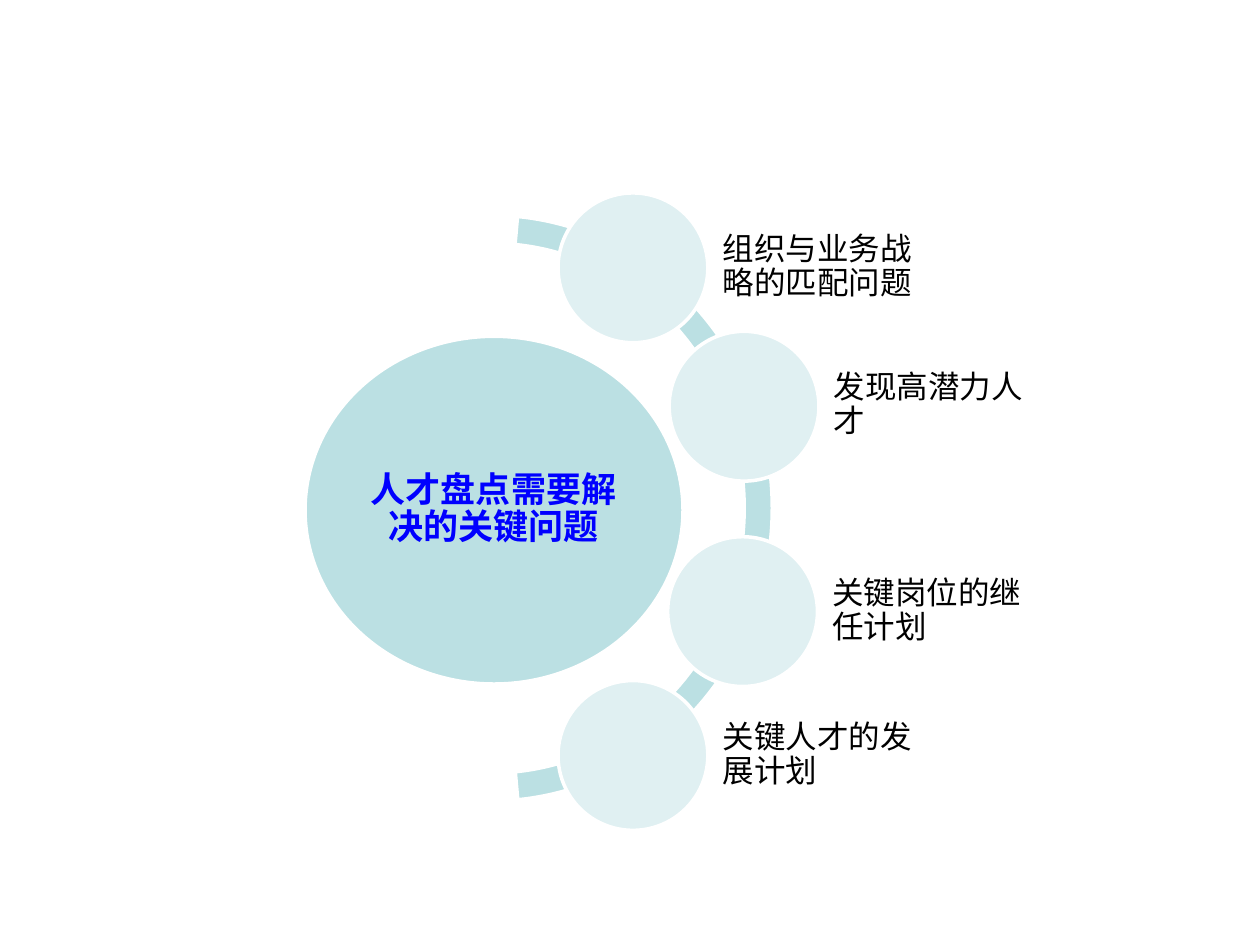
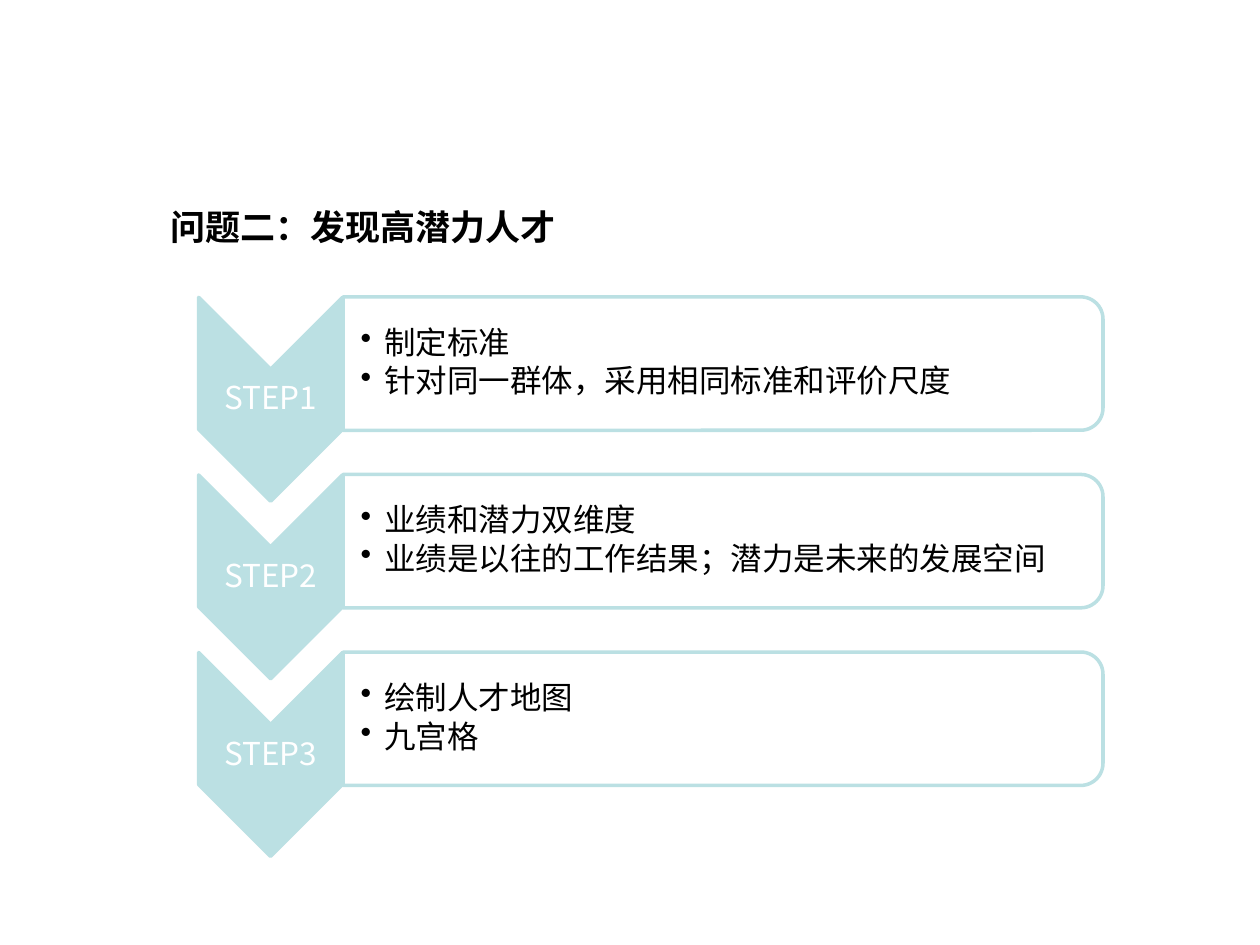
"""Build two talent review slides: the key questions and the three steps."""
from lxml import etree
from pptx import Presentation
from pptx import util as u
from pptx.dml.color import RGBColor
from pptx.enum import shapes, text
from pptx.oxml.ns import qn

COLORS = {"teal": "BBE0E3", "pale": "E0F0F2", "white": "FFFFFF",
          "blue": "0000FF", "black": "000000"}
FONT = "Noto Sans CJK SC"

CORE = "人才盘点需要解决的关键问题"
QUESTIONS = [
    ("组织与业务战略的匹配问题", 11.25, 3.89),
    ("发现高潜力人才", 13.49, 6.68),
    ("关键岗位的继任计划", 13.46, 10.82),
    ("关键人才的发展计划", 11.25, 13.72),
]
HEADING = "问题二：发现高潜力人才"
STEPS = [
    ("STEP1", ["制定标准", "针对同一群体，采用相同标准和评价尺度"]),
    ("STEP2", ["业绩和潜力双维度", "业绩是以往的工作结果；潜力是未来的发展空间"]),
    ("STEP3", ["绘制人才地图", "九宫格"]),
]
DOT = 3.02
STEP_PITCH = 3.58


def rgb(name):
    return RGBColor.from_string(COLORS[name])


def box(*cm):
    return [u.Cm(v) for v in cm]


def add_shape(s, kind, at, fill, line="white", rotation=0, alpha=None):
    sp = s.shapes.add_shape(kind, *box(*at))
    sp.shadow.inherit = False
    sp.rotation = rotation
    sp.fill.solid()
    sp.fill.fore_color.rgb = rgb(fill)
    sp.line.color.rgb = rgb(line)
    sp.line.width = u.Pt(2)
    if alpha:
        clr = sp.fill._xPr.find(qn("a:solidFill"))[0]
        etree.SubElement(clr, qn("a:alpha"), val=str(alpha * 1000))
    return sp


def write(sp, lines, size=18, color="black", bold=False, font=FONT, align="LEFT",
          anchor="MIDDLE", inset=0.08, left=None, spacing=0.9, after=0, bullet=False):
    tf = sp.text_frame
    tf.word_wrap = True
    tf.auto_size = text.MSO_AUTO_SIZE.NONE
    tf.vertical_anchor = text.MSO_ANCHOR[anchor]
    tf.margin_left = u.Cm(inset if left is None else left)
    tf.margin_right = u.Cm(inset)
    tf.margin_top = tf.margin_bottom = u.Cm(min(inset, 0.13))
    for i, line in enumerate(lines):
        p = tf.paragraphs[0] if i == 0 else tf.add_paragraph()
        p.alignment = text.PP_ALIGN[align]
        p.line_spacing = spacing
        p.space_after = u.Pt(size * after)
        if bullet:
            p.level = 1
            pPr = p._p.get_or_add_pPr()
            pPr.set("marL", str(u.Cm(0.48)))
            pPr.set("indent", str(u.Cm(-0.48)))
            etree.SubElement(pPr, qn("a:buChar"), char="•")
        r = p.add_run()
        r.text = line
        r.font.name = font
        r.font.size = u.Pt(size)
        r.font.bold = bold
        r.font.color.rgb = rgb(color)
        etree.SubElement(r._r.get_or_add_rPr(), qn("a:ea"), typeface=FONT)


def add_text(s, at, lines, **fmt):
    write(s.shapes.add_textbox(*box(*at)), lines, **fmt)


def questions_slide(prs):
    s = prs.slides.add_slide(prs.slide_layouts[6])
    kind = shapes.MSO_SHAPE
    add_shape(s, kind.OVAL, (6.15, 6.78, 7.62, 7.01), "teal")
    add_text(s, (7.26, 7.8, 5.38, 4.95), [CORE], size=20, color="blue", bold=True,
             font="Arial", align="CENTER", after=0.35)
    arc = add_shape(s, kind.BLOCK_ARC, (4.24, 4.34, 11.33, 11.81), "teal")
    for i, value in enumerate((165.09, 50.88, 0.05)):
        arc.adjustments[i] = value
    for question, x, y in QUESTIONS:
        add_shape(s, kind.OVAL, (x, y, DOT, DOT), "pale")
        add_text(s, (x + 3.24, y + 0.04, 4.04, 2.92), [question], after=0.1)


def steps_slide(prs):
    s = prs.slides.add_slide(prs.slide_layouts[5])
    kind = shapes.MSO_SHAPE
    title = s.shapes.title
    title.left, title.top, title.width, title.height = box(3.18, 4.01, 16.31, 1.96)
    write(title, [HEADING], size=20, bold=True, anchor="TOP", inset=0.25, spacing=1.0)
    for i, (step, points) in enumerate(STEPS):
        y = i * STEP_PITCH
        add_shape(s, kind.CHEVRON, (3.4, 6.6 + y, 4.11, 2.9), "teal", "teal", 90)
        add_text(s, (4.01, 7.44 + y, 2.9, 1.24), [step], color="white",
                 align="CENTER", inset=0.03, after=0.35)
        add_shape(s, kind.ROUND_2_SAME_RECTANGLE, (13.23, y - 0.33, 2.69, 15.32),
                  "white", "teal", 90, alpha=90)
        add_text(s, (6.91, 6.12 + y, 15.19, 2.41), points, inset=0.03, left=0.36,
                 after=0.15, bullet=True)


def main():
    prs = Presentation()
    prs.slide_width, prs.slide_height = box(25.4, 19.05)
    questions_slide(prs)
    steps_slide(prs)
    prs.save("out.pptx")


if __name__ == "__main__":
    main()
